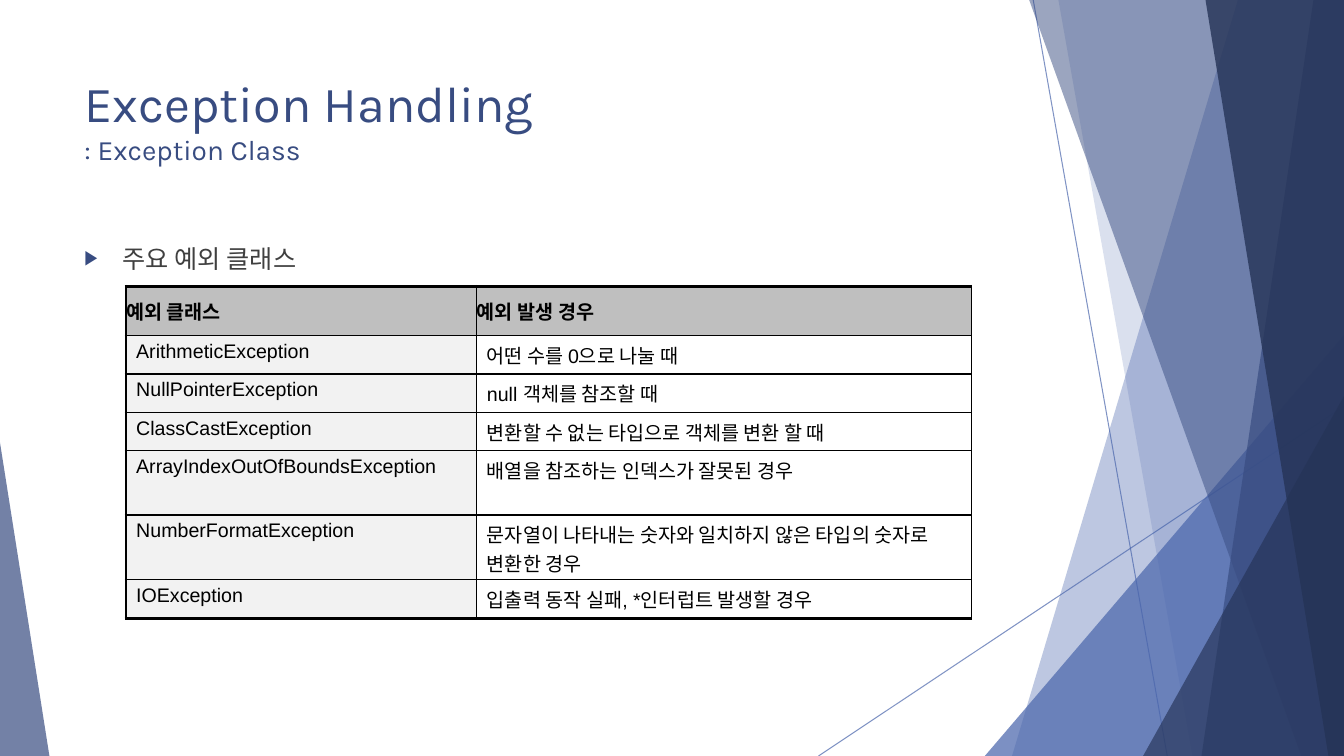
from lxml.etree import SubElement
from pptx import Presentation
from pptx.dml.color import RGBColor
from pptx.enum.shapes import MSO_CONNECTOR as Connector, MSO_SHAPE as Shape
from pptx.enum.text import MSO_ANCHOR as Anchor
from pptx.oxml.ns import qn
from pptx.util import Inches, Pt

BLUE = RGBColor(0x4A, 0x66, 0xAC)
DEEP_BLUE = RGBColor(0x38, 0x4C, 0x81)
NAVY = RGBColor(0x25, 0x33, 0x56)
BODY_GRAY = RGBColor(0x40, 0x40, 0x40)
HEADER_GRAY = RGBColor(0xBF, 0xBF, 0xBF)
LABEL_GRAY = RGBColor(0xF2, 0xF2, 0xF2)
WHITE = RGBColor(0xFF, 0xFF, 0xFF)
BLACK = RGBColor(0, 0, 0)

THICK, THIN = 2.25, 1
TITLE_FORMAT = {"name": "Karla", "size": Pt(36)}
SUBTITLE_FORMAT = {"name": "Karla", "size": Pt(20)}
BODY_FORMAT = {"name": "Karla", "size": Pt(18)}
CELL_FORMAT = {"name": "Arial", "size": Pt(14), "bold": False}
HEADER_FORMAT = CELL_FORMAT | {"bold": True}

EXCEPTIONS = [
    ("예외 클래스", "예외 발생 경우"),
    ("ArithmeticException", "어떤 수를 0으로 나눌 때"),
    ("NullPointerException", "null 객체를 참조할 때"),
    ("ClassCastException", "변환할 수 없는 타입으로 객체를 변환 할 때"),
    ("ArrayIndexOutOfBoundsException", "배열을 참조하는 인덱스가 잘못된 경우"),
    ("NumberFormatException",
     "문자열이 나타내는 숫자와 일치하지 않은 타입의 숫자로 변환한 경우"),
    ("IOException", "입출력 동작 실패, *인터럽트 발생할 경우"),
]


def apply_format(target, values):
    for name, value in values.items():
        setattr(target, name, value)


class SlideBuilder:
    """Draws on a grid of 100 columns by 100 rows that spans the slide."""

    def __init__(self, presentation):
        self.column = presentation.slide_width / 100
        self.row = presentation.slide_height / 100
        self.slide = presentation.slides.add_slide(presentation.slide_layouts[6])
        self.shapes = self.slide.shapes

    def x(self, columns):
        return round(columns * self.column)

    def y(self, rows):
        return round(rows * self.row)

    def box(self, left, top, width, height):
        return self.x(left), self.y(top), self.x(width), self.y(height)

    def set_opacity(self, shape, percent):
        for color in shape._element.spPr.iter(qn("a:srgbClr")):
            SubElement(color, qn("a:alpha"), val=str(percent * 1000))

    def paint(self, shape, color, opacity):
        shape.shadow.inherit = False
        shape.fill.solid()
        shape.fill.fore_color.rgb = color
        shape.line.fill.background()
        self.set_opacity(shape, opacity)

    def thin_line(self, start, end):
        line = self.shapes.add_connector(
            Connector.STRAIGHT, self.x(start[0]), self.y(start[1]),
            self.x(end[0]), self.y(end[1]))
        line.line.color.rgb = BLUE
        line.line.width = Pt(0.75)
        self.set_opacity(line, 70)
        SubElement(line._element.spPr, qn("a:effectLst"))

    def band(self, top_left, bottom_left, color, opacity):
        """Full-height band from a slanted left edge to the slide's right side."""
        builder = self.shapes.build_freeform(self.x(top_left), 0, 1.0)
        corners = [(100, 0), (100, 100), (bottom_left, 100)]
        builder.add_line_segments([(self.x(x), self.y(y)) for x, y in corners])
        self.paint(builder.convert_to_shape(), color, opacity)

    def corner(self, left, right, top, apex, color, opacity):
        """Right-angled triangle standing on the bottom of the slide."""
        triangle = self.shapes.add_shape(
            Shape.ISOSCELES_TRIANGLE, *self.box(left, top, right - left, 100 - top))
        triangle.adjustments[0] = apex
        self.paint(triangle, color, opacity)

    def text_paragraph(self, left, top, width, height):
        frame = self.shapes.add_textbox(*self.box(left, top, width, height)).text_frame
        frame.word_wrap = True
        return frame.paragraphs[0]

    def run(self, paragraph, text, values, color):
        run = paragraph.add_run()
        run.text = text
        apply_format(run.font, values)
        run.font.color.rgb = color

    def title(self, title, subtitle, *place):
        paragraph = self.text_paragraph(*place)
        self.run(paragraph, title, TITLE_FORMAT, DEEP_BLUE)
        paragraph.add_line_break()
        self.run(paragraph, subtitle, SUBTITLE_FORMAT, DEEP_BLUE)

    def bullet(self, text, *place):
        paragraph = self.text_paragraph(*place)
        properties = paragraph._p.get_or_add_pPr()
        indent = Inches(0.38)
        properties.set("marL", str(indent))
        properties.set("indent", str(-indent))
        color = SubElement(properties, qn("a:buClr"))
        SubElement(color, qn("a:srgbClr"), val=str(DEEP_BLUE))
        SubElement(properties, qn("a:buSzPct"), val="80000")
        SubElement(properties, qn("a:buFont"), typeface="Arial")
        SubElement(properties, qn("a:buChar"), char="▶")
        self.run(paragraph, text, BODY_FORMAT, BODY_GRAY)

    def borders(self, cell, widths):
        properties = cell._tc.get_or_add_tcPr()
        for side, width in widths.items():
            line = SubElement(properties, qn(f"a:ln{side}"), w=str(Pt(width)))
            fill = SubElement(line, qn("a:solidFill"))
            SubElement(fill, qn("a:srgbClr"), val=str(BLACK))

    def table(self, rows, left, top, widths, heights):
        table = self.shapes.add_table(
            len(heights), len(widths),
            *self.box(left, top, sum(widths), sum(heights))).table
        apply_format(table, {"first_row": False, "horz_banding": False})
        for column, width in zip(table.columns, widths):
            column.width = self.x(width)
        for row, height in zip(table.rows, heights):
            row.height = self.y(height)
        last = len(rows) - 1
        for r, texts in enumerate(rows):
            for c, text in enumerate(texts):
                cell = table.cell(r, c)
                self.borders(cell, {"L": THIN if c else THICK, "R": THIN,
                                    "T": THIN if r else THICK,
                                    "B": THICK if r == last else THIN})
                self.fill_cell(cell, text, r == 0, c == 0)

    def fill_cell(self, cell, text, is_header, is_label):
        cell.fill.solid()
        cell.fill.fore_color.rgb = (
            HEADER_GRAY if is_header else LABEL_GRAY if is_label else WHITE)
        if is_header:
            apply_format(cell, {"margin_left": 0, "margin_right": 0, "margin_top": 0,
                                "margin_bottom": 0, "vertical_anchor": Anchor.MIDDLE})
        self.run(cell.text_frame.paragraphs[0], text,
                 HEADER_FORMAT if is_header else CELL_FORMAT, BLACK)


def main():
    presentation = Presentation()
    presentation.slide_width = Inches(40 / 3)
    presentation.slide_height = Inches(7.5)
    builder = SlideBuilder(presentation)

    # Faceted decoration
    builder.thin_line((76.88, 0), (86.85, 100))
    builder.thin_line((100, 53.73), (60.9, 100))
    builder.band(92.1, 75.3, BLUE, 36)
    builder.band(78.75, 88.73, BLUE, 20)
    builder.corner(73.28, 100, 44.4, 1, BLUE, 72)
    builder.band(76.58, 96.83, DEEP_BLUE, 50)
    builder.band(97.73, 89.4, DEEP_BLUE, 70)
    builder.band(89.7, 98.85, NAVY, 80)
    builder.corner(85.05, 100, 52.4, 1, NAVY, 66)
    builder.corner(0, 3.68, 58.53, 0, DEEP_BLUE, 70)

    # Title and bullet
    builder.title("Exception Handling", ": Exception Class", 5.55, 8.93, 70.5, 19.2)
    builder.bullet("주요 예외 클래스", 5.55, 31.47, 70.5, 56.53)

    # Exception classes
    builder.table(EXCEPTIONS, 9.38, 37.87, widths=[26.1, 36.8],
                  heights=[6.53, 5.07, 5.07, 5.07, 8.53, 8.53, 5.2])

    presentation.save("out.pptx")


if __name__ == "__main__":
    main()
